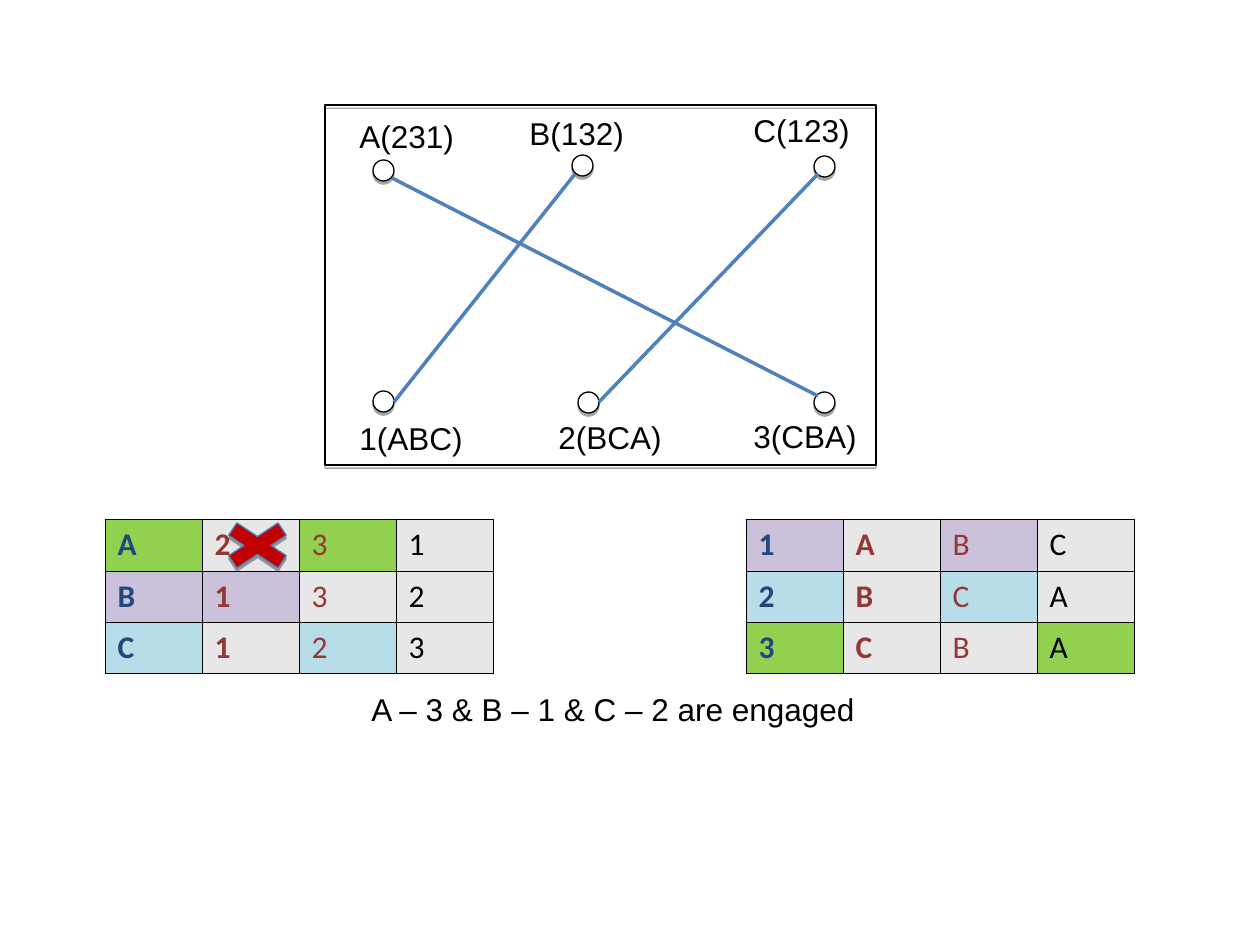
from dataclasses import dataclass

from lxml import etree
from pptx import Presentation
from pptx import util as u
from pptx.dml import color
from pptx.enum import shapes, text
from pptx.oxml import ns

EMU_PER_PX = 914400 / 126
COLORS = {
    "black": "000000", "white": "FFFFFF", "edge": "4F81BD", "cross": "C00000",
    "cross_line": "4A7EBB", "head": "1F497D", "choice": "953735",
    "green": "92D050", "purple": "CCC1DA", "blue": "B7DEE8", "gray": "E7E7E7",
}
COLUMN_STYLES = [("head", True), ("choice", True), ("choice", False), ("black", False)]
ROW_HEIGHTS = [52, 51, 51]
COLUMN_WIDTH = 97
NODE_SIZE = 21
LABEL_SIZE = (136, 50)


@dataclass
class Pair:
    upper: str
    lower: str
    color: str


@dataclass
class Node:
    label: str
    left: int
    top: int
    label_left: int
    label_top: int


@dataclass
class Edge:
    start: tuple[int, int]
    end: tuple[int, int]


PAIRS = [Pair("A", "3", "green"), Pair("B", "1", "purple"), Pair("C", "2", "blue")]
PARTNERS = {pair.upper: (pair.lower, pair.color) for pair in PAIRS}
PARTNERS |= {pair.lower: (pair.upper, pair.color) for pair in PAIRS}
NODES = [
    Node("A(231)", 373, 160, 347, 111),
    Node("B(132)", 572, 155, 517, 108),
    Node("C(123)", 814, 156, 741, 105),
    Node("1(ABC)", 373, 391, 347, 413),
    Node("2(BCA)", 578, 392, 546, 412),
    Node("3(CBA)", 814, 392, 741, 411),
]
EDGE_B1 = Edge((575, 174), (394, 402))
EDGE_C2 = Edge((818, 174), (599, 402))
EDGE_A3 = Edge((392, 178), (818, 396))


def px(*lengths: int) -> list:
    return [u.Emu(round(length * EMU_PER_PX)) for length in lengths]


def rgb(name: str) -> color.RGBColor:
    return color.RGBColor.from_string(COLORS[name])


def format_text(paragraph, font_name: str, color_name: str, bold: bool = False) -> None:
    font_format = {"name": font_name, "size": u.Pt(18), "bold": bold}
    for attribute, value in font_format.items():
        setattr(paragraph.font, attribute, value)
    paragraph.font.color.rgb = rgb(color_name)


def add_effects(shape, shadow: bool) -> None:
    effects = etree.SubElement(shape._element.spPr, ns.qn("a:effectLst"))
    if shadow:
        outer = etree.SubElement(effects, ns.qn("a:outerShdw"), blurRad="0",
                                 dist=str(u.Pt(1.8)), dir="5400000", rotWithShape="0")
        shade = etree.SubElement(outer, ns.qn("a:srgbClr"), val=COLORS["black"])
        etree.SubElement(shade, ns.qn("a:alpha"), val="35000")


def add_figure(slide, kind, box: tuple, fill: str | None, line: str = "black") -> None:
    shape = slide.shapes.add_shape(kind, *px(*box))
    if fill:
        shape.fill.solid()
        shape.fill.fore_color.rgb = rgb(fill)
    else:
        shape.fill.background()
    shape.line.color.rgb = rgb(line)
    shape.line.width = u.Pt(0.75)
    add_effects(shape, True)


def add_edge(slide, edge: Edge) -> None:
    connector = slide.shapes.add_connector(
        shapes.MSO_CONNECTOR.STRAIGHT, *px(*edge.start, *edge.end))
    connector.line.color.rgb = rgb("edge")
    connector.line.width = u.Pt(2)
    add_effects(connector, False)


def add_label(slide, words: str, box: tuple, wrap: bool = True) -> None:
    frame = slide.shapes.add_textbox(*px(*box)).text_frame
    frame_format = {"word_wrap": wrap, "auto_size": text.MSO_AUTO_SIZE.SHAPE_TO_FIT_TEXT}
    for attribute, value in frame_format.items():
        setattr(frame, attribute, value)
    paragraph = frame.paragraphs[0]
    paragraph.text = words
    format_text(paragraph, "Arial", "black")


def add_borders(cell) -> None:
    properties = cell._tc.get_or_add_tcPr()
    for side in ("lnL", "lnR", "lnT", "lnB"):
        line = etree.SubElement(properties, ns.qn(f"a:{side}"), w=str(u.Pt(0.45)))
        fill = etree.SubElement(line, ns.qn("a:solidFill"))
        etree.SubElement(fill, ns.qn("a:srgbClr"), val=COLORS["black"])


def add_preferences(slide, left: int, top: int, rows: list[str]) -> None:
    columns = len(COLUMN_STYLES)
    table = slide.shapes.add_table(
        len(rows), columns, *px(left, top, COLUMN_WIDTH * columns, sum(ROW_HEIGHTS))).table
    for attribute in ("first_row", "horz_banding"):
        setattr(table, attribute, False)
    for column in table.columns:
        column.width = px(COLUMN_WIDTH)[0]
    for row_index, names in enumerate(rows):
        table.rows[row_index].height = px(ROW_HEIGHTS[row_index])[0]
        partner, pair_color = PARTNERS[names[0]]
        for column_index, name in enumerate(names):
            cell = table.cell(row_index, column_index)
            add_borders(cell)
            cell.fill.solid()
            engaged = column_index == 0 or name == partner
            cell.fill.fore_color.rgb = rgb(pair_color if engaged else "gray")
            paragraph = cell.text_frame.paragraphs[0]
            paragraph.text = name
            format_text(paragraph, "Calibri", *COLUMN_STYLES[column_index])


def main() -> None:
    presentation = Presentation()
    presentation.slide_width, presentation.slide_height = px(1260, 945)
    slide = presentation.slides.add_slide(presentation.slide_layouts[6])
    kinds = shapes.MSO_SHAPE

    add_preferences(slide, 105, 519, ["A231", "B132", "C123"])
    add_figure(slide, kinds.MATH_MULTIPLY, (210, 514, 95, 63), "cross", "cross_line")
    add_preferences(slide, 746, 519, ["1ABC", "2BCA", "3CBA"])
    add_label(slide, "A – 3 & B – 1 & C – 2 are engaged", (359, 684, 510, 50), wrap=False)

    for node in NODES:
        add_figure(slide, kinds.OVAL, (node.left, node.top, NODE_SIZE, NODE_SIZE), "white")
    add_edge(slide, EDGE_B1)
    for node in NODES:
        add_label(slide, node.label, (node.label_left, node.label_top, *LABEL_SIZE))
    add_edge(slide, EDGE_C2)
    add_figure(slide, kinds.RECTANGLE, (325, 105, 551, 360), None)
    add_edge(slide, EDGE_A3)

    presentation.save("out.pptx")


if __name__ == "__main__":
    main()
